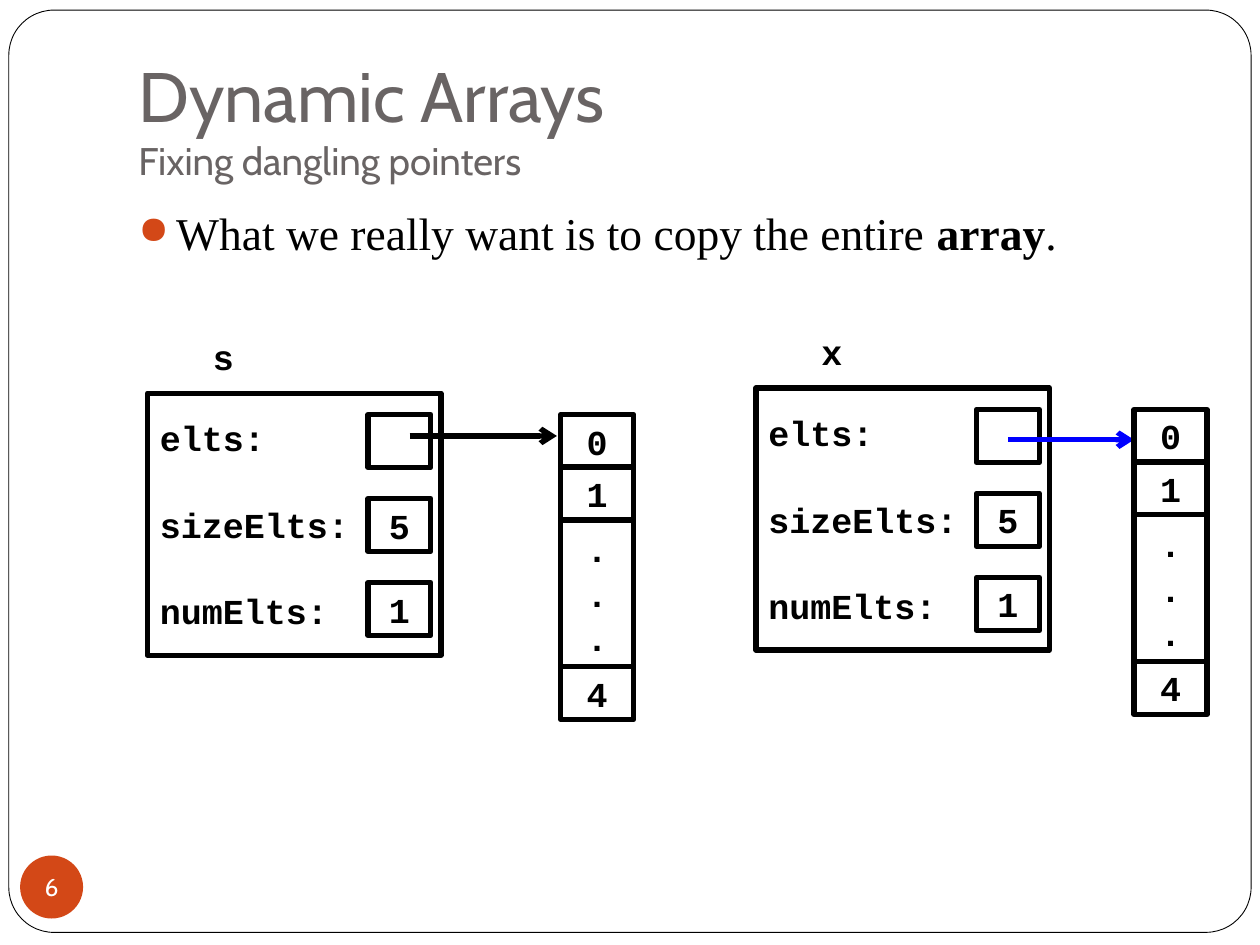
from lxml.etree import SubElement
from pptx import Presentation
from pptx.dml.color import RGBColor
from pptx.enum.shapes import MSO_CONNECTOR, MSO_SHAPE
from pptx.enum.text import MSO_ANCHOR, PP_ALIGN
from pptx.oxml.ns import qn
from pptx.util import Inches, Pt

BLACK = RGBColor(0, 0, 0)
WHITE = RGBColor(255, 255, 255)
BLUE = RGBColor(0, 0, 255)
GRAY = RGBColor(0x69, 0x64, 0x64)
ORANGE = RGBColor(0xD3, 0x48, 0x17)

CELL_H = 0.42
CELL_STEP = 5 / 12
FIELD_STEP = 2 / 3


def add_run(p, text, size, font, color=BLACK, bold=False):
    """Append one formatted run to a paragraph."""
    r = p.add_run()
    r.text = text
    r.font.size = Pt(size)
    r.font.name = font
    r.font.color.rgb = color
    r.font.bold = bold


def add_code(tf, lines, align=PP_ALIGN.LEFT, gap=0):
    """Fill a frame with bold code lines, a gap in points between them."""
    tf.vertical_anchor = MSO_ANCHOR.MIDDLE
    for i, line in enumerate(lines):
        p = tf.paragraphs[0] if i == 0 else tf.add_paragraph()
        p.alignment = align
        if i:
            p.space_before = Pt(gap)
        add_run(p, line, 20, "Courier New", bold=True)


def add_text(shapes, x, y, w, h):
    """Add a wrapping text box and return its frame."""
    tf = shapes.add_textbox(Inches(x), Inches(y), Inches(w), Inches(h)).text_frame
    tf.word_wrap = True
    return tf


def add_shape(shapes, kind, x, y, w, h, fill=None, line=None, width=3):
    """Add a flat preset shape with optional fill and outline."""
    sp = shapes.add_shape(kind, Inches(x), Inches(y), Inches(w), Inches(h))
    sp.shadow.inherit = False
    if fill is None:
        sp.fill.background()
    else:
        sp.fill.solid()
        sp.fill.fore_color.rgb = fill
    if line is None:
        sp.line.fill.background()
    else:
        sp.line.color.rgb = line
        sp.line.width = Pt(width)
    return sp


def add_cell(shapes, x, y, w, h, lines=(), align=PP_ALIGN.CENTER, gap=1.3):
    """Add a black-outlined memory box holding code lines."""
    sp = add_shape(shapes, MSO_SHAPE.RECTANGLE, x, y, w, h, line=BLACK)
    add_code(sp.text_frame, lines, align, gap)


def add_struct(s, name, x, y):
    """Draw a named struct with its three fields."""
    shapes = s.shapes.add_group_shape().shapes
    add_cell(shapes, x, y, 2.33, 2.08, ("elts:", "sizeElts:", "numElts:"),
             PP_ALIGN.LEFT, 25.3)
    for i, value in enumerate(((), ("5",), ("1",))):
        add_cell(shapes, x + 1.75, y + 0.17 + i * FIELD_STEP, 0.5, CELL_H, value)
    tf = add_text(shapes, x - 0.08, y - 0.58, 1.54, 0.58)
    tf.margin_left = Inches(0.6)
    add_code(tf, (name,))


def add_array(s, x, y):
    """Draw an array column; the elided part is taller than one cell."""
    shapes = s.shapes.add_group_shape().shapes
    for row, lines, h in ((0, "0", CELL_H), (1, "1", CELL_H),
                          (2, "...", 1.17), (4.8, "4", CELL_H)):
        add_cell(shapes, x, y + row * CELL_STEP, 0.58, h, lines)


def add_arrow(s, x1, x2, y, color):
    """Draw a horizontal pointer with an open arrowhead."""
    c = s.shapes.add_connector(MSO_CONNECTOR.STRAIGHT, Inches(x1), Inches(y),
                               Inches(x2), Inches(y))
    c.line.color.rgb = color
    c.line.width = Pt(3)
    SubElement(c.line._get_or_add_ln(), qn("a:tailEnd"), type="arrow")
    SubElement(c._element.spPr, qn("a:effectLst"))


def add_bullet(p):
    """Give a paragraph a round orange bullet with a hanging indent."""
    pPr = p._p.get_or_add_pPr()
    pPr.set("marL", str(Inches(0.3)))
    pPr.set("indent", str(Inches(-0.3)))
    color = SubElement(pPr, qn("a:buClr"))
    SubElement(color, qn("a:srgbClr"), val=str(ORANGE))
    SubElement(pPr, qn("a:buSzPct"), val="85000")
    SubElement(pPr, qn("a:buChar"), char="●")


def add_frame(s):
    """Draw the rounded slide border and the page number disc."""
    sp = add_shape(s.shapes, MSO_SHAPE.ROUNDED_RECTANGLE, 0.07, 0.08, 9.86, 7.32,
                   WHITE, BLACK, 0.5)
    sp.adjustments[0] = 0.049
    tf = add_shape(s.shapes, MSO_SHAPE.OVAL, 0.16, 6.79, 0.5, 0.5, ORANGE).text_frame
    tf.margin_left = tf.margin_right = tf.margin_top = tf.margin_bottom = 0
    tf.word_wrap = False
    tf.vertical_anchor = MSO_ANCHOR.MIDDLE
    p = tf.paragraphs[0]
    p.alignment = PP_ALIGN.CENTER
    add_run(p, "6", 14, "Cabin", WHITE)


def add_heading(s):
    """Write the title, its subtitle and the bullet."""
    tf = add_text(s.shapes, 1, 0.3, 8.5, 1.25)
    tf.vertical_anchor = MSO_ANCHOR.BOTTOM
    tf.margin_bottom = Inches(0.1)
    p = tf.paragraphs[0]
    add_run(p, "Dynamic Arrays", 40, "Cabin", GRAY)
    p.add_line_break()
    add_run(p, "Fixing dangling pointers", 22, "Cabin", GRAY)

    p = add_text(s.shapes, 1, 1.58, 8.5, 5.17).paragraphs[0]
    p.space_before = Pt(5.8)
    add_bullet(p)
    for text, bold in (("What we really want is to copy the entire ", False),
                       ("array", True), (".", False)):
        add_run(p, text, 26, "Times New Roman", bold=bold)


def main():
    """Build and save the slide."""
    prs = Presentation()
    prs.slide_width, prs.slide_height = Inches(10), Inches(7.5)
    s = prs.slides.add_slide(prs.slide_layouts[6])
    add_frame(s)
    add_heading(s)
    add_struct(s, "s", 1.17, 3.12)
    add_array(s, 4.45, 3.29)
    add_arrow(s, 3.25, 4.42, 3.46, BLACK)
    add_struct(s, "x", 6, 3.08)
    add_arrow(s, 8, 9, 3.49, BLUE)
    add_array(s, 9, 3.25)
    prs.save("out.pptx")


main()
